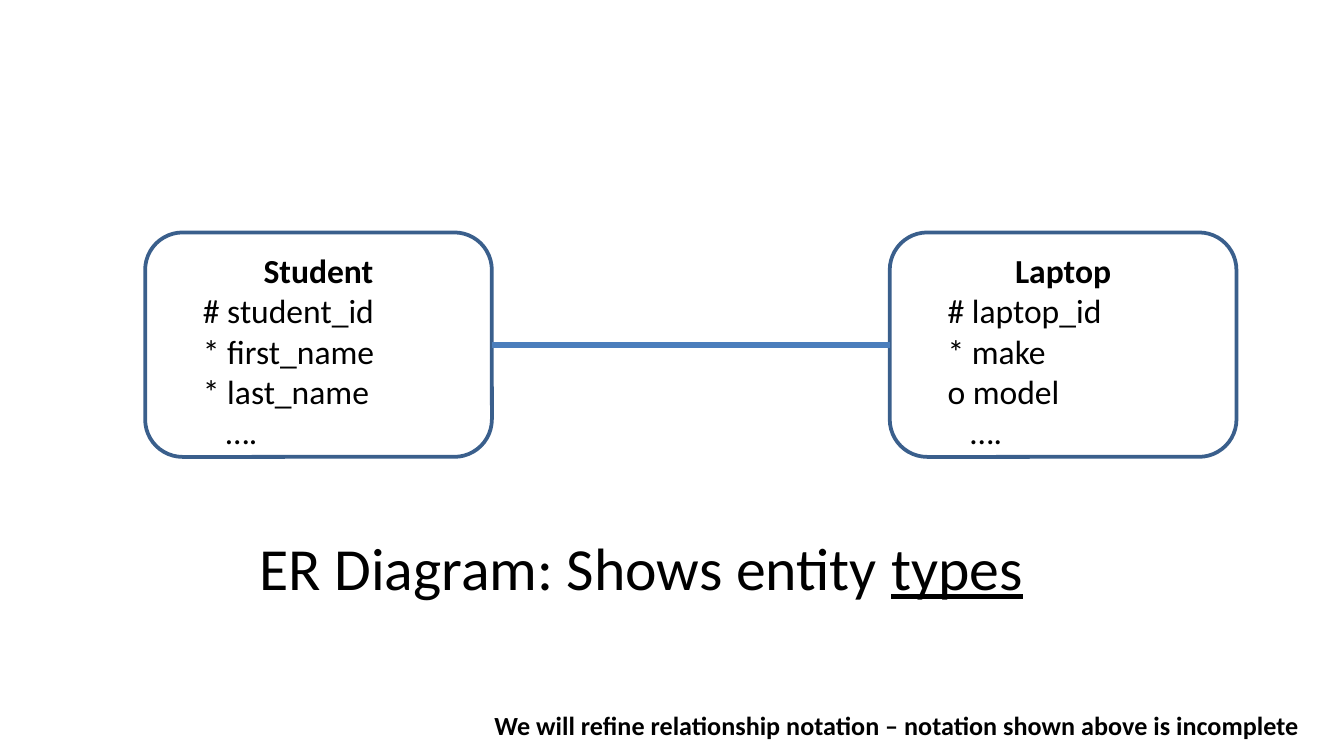
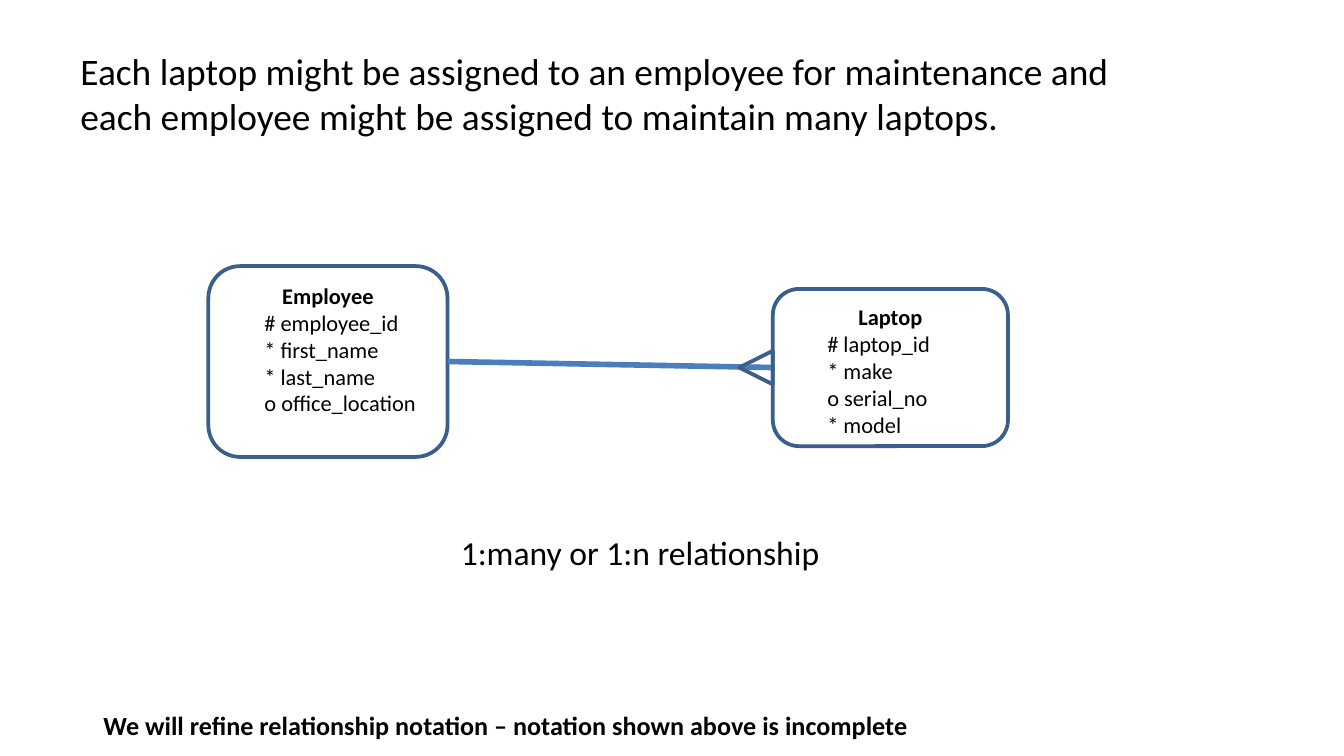
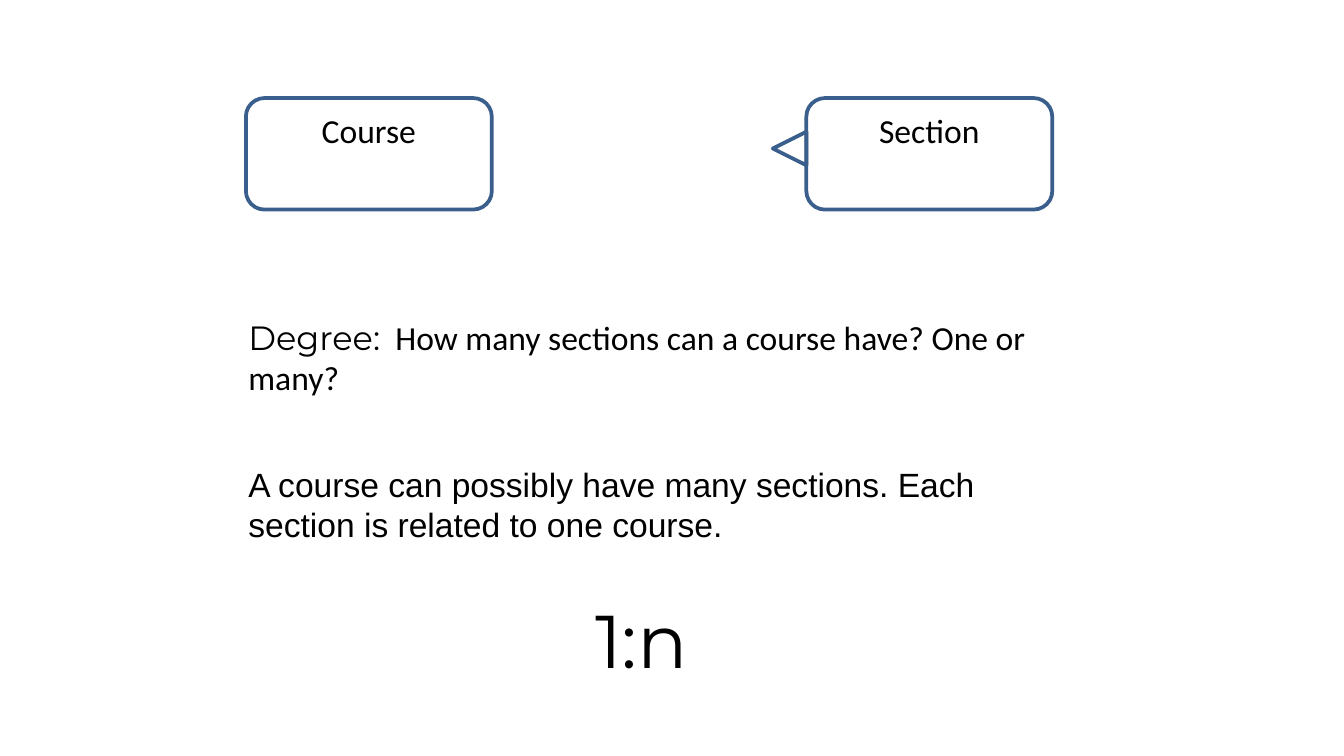
from lxml import etree
from pptx import Presentation
from pptx import util as u
from pptx.dml.color import RGBColor
from pptx.enum import shapes, text
from pptx.oxml import ns

BLACK = RGBColor(0x00, 0x00, 0x00)
OUTLINE = RGBColor(0x3A, 0x5F, 0x8C)
RELATION = RGBColor(0x4B, 0x7E, 0xBC)
BODY_FONT = "Calibri"
NOTICE = "We will refine relationship notation – notation shown above is incomplete"
SLIDE_WIDTH = 10
CROW_FOOT_SIZE = 0.25
INDENT = 0.25
ELLIPSIS_INDENT = 0.42
ELLIPSIS = "…."


class ErDeck:
    def __init__(self):
        self.presentation = Presentation()
        self.presentation.slide_width = u.Inches(SLIDE_WIDTH)
        self.presentation.slide_height = u.Inches(SLIDE_WIDTH * 9 / 16)
        self.slide = None

    def new_slide(self):
        self.slide = self.presentation.slides.add_slide(self.presentation.slide_layouts[6])

    def style(self, font, size, name=BODY_FONT, bold=False):
        font.size = u.Pt(size)
        font.name = name
        font.bold = bold
        font.color.rgb = BLACK

    def outlined(self, kind, left, top, width, height):
        shape = self.slide.shapes.add_shape(
            kind, u.Inches(left), u.Inches(top), u.Inches(width), u.Inches(height))
        shape.shadow.inherit = False
        shape.fill.background()
        shape.line.color.rgb = OUTLINE
        shape.line.width = u.Pt(2)
        return shape

    def entity(self, left, top, width, height, name, attributes=(), size=18):
        shape = self.outlined(
            shapes.MSO_SHAPE.ROUNDED_RECTANGLE, left, top, width, height)
        frame = shape.text_frame
        frame.word_wrap = True
        frame.vertical_anchor = text.MSO_ANCHOR.TOP
        heading = frame.paragraphs[0]
        heading.text = name
        heading.alignment = text.PP_ALIGN.CENTER
        self.style(heading.font, size, bold=bool(attributes))
        for attribute in attributes:
            paragraph = frame.add_paragraph()
            paragraph.text = attribute
            paragraph.alignment = text.PP_ALIGN.LEFT
            indent = ELLIPSIS_INDENT if attribute == ELLIPSIS else INDENT
            paragraph._p.get_or_add_pPr().set("marL", str(u.Inches(indent)))
            self.style(paragraph.font, size)
        return shape

    def relationship(self, start, end):
        connector = self.slide.shapes.add_connector(
            shapes.MSO_CONNECTOR.STRAIGHT, 0, 0, 0, 0)
        connector.begin_connect(start, 3)
        connector.end_connect(end, 1)
        connector.line.color.rgb = RELATION
        connector.line.width = u.Pt(3)
        etree.SubElement(connector._element.spPr, ns.qn("a:effectLst"))

    def crow_foot(self, left, top):
        triangle = self.outlined(
            shapes.MSO_SHAPE.ISOSCELES_TRIANGLE, left, top, CROW_FOOT_SIZE, CROW_FOOT_SIZE)
        triangle.rotation = 270

    def label(self, left, top, width, height, content, size,
              name=BODY_FONT, bold=False, wrap=True):
        box = self.slide.shapes.add_textbox(
            u.Inches(left), u.Inches(top), u.Inches(width), u.Inches(height))
        frame = box.text_frame
        frame.word_wrap = wrap
        frame.auto_size = text.MSO_AUTO_SIZE.SHAPE_TO_FIT_TEXT
        paragraph = frame.paragraphs[0]
        self.style(paragraph.font, size, name, bold)
        for part in [content] if isinstance(content, str) else content:
            paragraph.add_run().text = part
        return paragraph

    def notice(self, left):
        self.label(left, 5.23, 6.42, 0.34, NOTICE, 14, bold=True)


def entity_types(deck):
    deck.new_slide()
    student = deck.entity(1.08, 1.73, 2.58, 1.67, "Student",
                          ["# student_id", "* first_name", "* last_name", ELLIPSIS])
    laptop = deck.entity(6.62, 1.73, 2.58, 1.67, "Laptop",
                         ["# laptop_id", "* make", "o model", ELLIPSIS])
    deck.relationship(student, laptop)
    caption = deck.label(1.83, 3.9, 5.95, 0.64,
                         ["ER Diagram: Shows entity ", "types"], 32, wrap=False)
    caption.runs[1].font.underline = True
    deck.notice(3.58)


def one_to_many(deck):
    deck.new_slide()
    deck.label(0.5, 0.31, 8.33, 0.77,
               "Each laptop might be assigned to an employee for maintenance and "
               "each employee might be assigned to maintain many laptops.", 20)
    employee = deck.entity(
        1.55, 1.98, 1.78, 1.42, "Employee",
        ["# employee_id", "* first_name", "* last_name", "o office_location"], 12)
    laptop = deck.entity(5.75, 2.15, 1.75, 1.17, "Laptop",
                         ["# laptop_id", "* make", "o serial_no", "* model"], 12)
    deck.relationship(employee, laptop)
    deck.label(3.33, 3.91, 2.91, 0.4, "1:many or 1:n relationship", 18, wrap=False)
    deck.crow_foot(5.5, 2.61)
    deck.notice(0.67)


def degree(deck):
    deck.new_slide()
    for left, name in ((1.83, "Course"), (6, "Section")):
        deck.entity(left, 0.73, 1.83, 0.83, name)
    question = deck.label(
        1.75, 2.31, 6.33, 0.71,
        ["Degree:", "  How many sections can a course have? One or many?"], 18)
    question.runs[0].font.name = "Montserrat"
    deck.label(1.75, 3.4, 6.33, 0.71,
               "A course can possibly have many sections. "
               "Each section is related to one course.", 18, "Arial")
    deck.label(4.33, 4.37, 1.14, 0.77, "1:n", 40, "Montserrat", wrap=False)
    deck.crow_foot(5.75, 0.98)


def main():
    deck = ErDeck()
    entity_types(deck)
    one_to_many(deck)
    degree(deck)
    deck.presentation.save("out.pptx")


if __name__ == "__main__":
    main()
